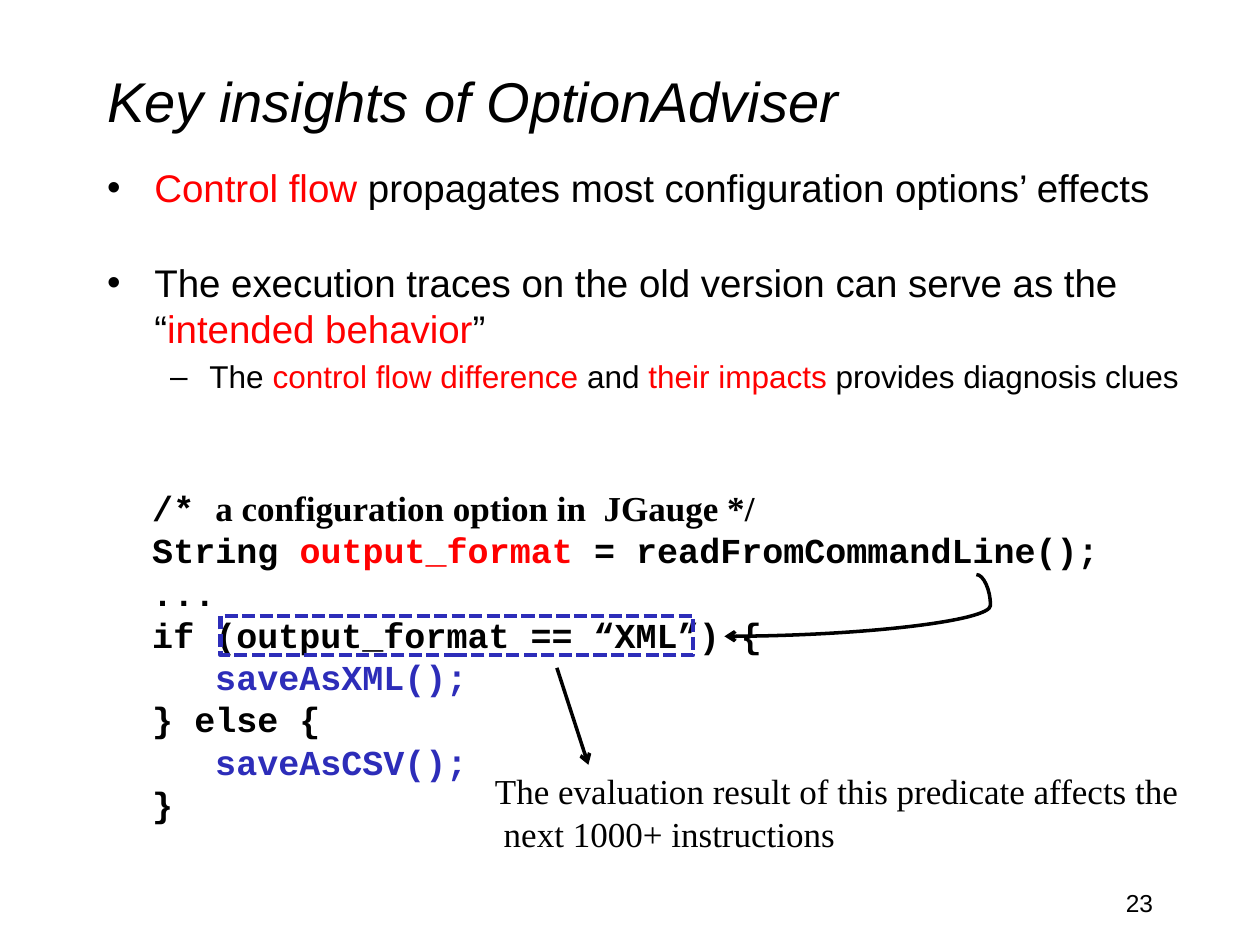
"""Build a slide on the key insights of a configuration diagnosis tool."""
from dataclasses import dataclass
from typing import NamedTuple

import lxml.etree
import pptx
import pptx.dml.color
import pptx.enum.dml
import pptx.enum.shapes
import pptx.enum.text
import pptx.oxml
import pptx.oxml.ns
import pptx.util

Inches = pptx.util.Inches
Pt = pptx.util.Pt
RGBColor = pptx.dml.color.RGBColor
Align = pptx.enum.text.PP_ALIGN
Connector = pptx.enum.shapes.MSO_CONNECTOR
qn = pptx.oxml.ns.qn

BLACK = RGBColor(0, 0, 0)
RED = RGBColor(255, 0, 0)
BLUE = RGBColor(0x2D, 0x2D, 0xB9)

TITLE_FONT = {"name": "Arial", "size": Pt(32), "italic": True}
BULLET_FONT = {"name": "Arial", "size": Pt(22)}
DETAIL_FONT = {"name": "Arial", "size": Pt(18)}
CODE_FONT = {"name": "Courier New", "size": Pt(20), "bold": True}
COMMENT_FONT = {"name": "Times New Roman", "size": Pt(20), "bold": True}
NOTE_FONT = {"name": "Times New Roman", "size": Pt(20)}
NUMBER_FONT = {"name": "Arial", "size": Pt(14)}

BULLET_FORMAT = {"space_before": Pt(4.4)}
SPACED_BULLET_FORMAT = {"space_before": Pt(27.8)}
DETAIL_FORMAT = {"level": 1, "space_before": Pt(3.6)}
CODE_FORMAT = {"line_spacing": Pt(24.15)}
NUMBER_FORMAT = {"alignment": Align.RIGHT}


class Span(NamedTuple):
    """A stretch of text in one format."""
    text: str
    font: dict
    color: RGBColor = BLACK


@dataclass
class Line:
    """A paragraph with its spans and format."""
    spans: list[Span]
    format: dict
    indent: float = 0


@dataclass
class Arrow:
    """An arrow between two points, with an optional curve adjustment."""
    start: tuple[float, float]
    end: tuple[float, float]
    kind: int = Connector.STRAIGHT
    bend: int | None = None


BULLETS = [
    Line([Span("Control flow ", BULLET_FONT, RED),
          Span("propagates most configuration options’ effects", BULLET_FONT)], BULLET_FORMAT),
    Line([Span("The execution traces on the old version can serve as the “", BULLET_FONT),
          Span("intended behavior", BULLET_FONT, RED),
          Span("”", BULLET_FONT)], SPACED_BULLET_FORMAT),
    Line([Span("The ", DETAIL_FONT),
          Span("control flow difference ", DETAIL_FONT, RED),
          Span("and", DETAIL_FONT),
          Span(" their impacts ", DETAIL_FONT, RED),
          Span("provides diagnosis clues", DETAIL_FONT)], DETAIL_FORMAT),
]
CODE = [
    Line([Span("/* ", CODE_FONT),
          Span("a configuration option in  JGauge */", COMMENT_FONT)], CODE_FORMAT),
    Line([Span("String ", CODE_FONT),
          Span("output_format ", CODE_FONT, RED),
          Span("= readFromCommandLine();", CODE_FONT)], CODE_FORMAT),
    Line([Span("...", CODE_FONT)], CODE_FORMAT),
    Line([Span("if (output_format == “XML”) {", CODE_FONT)], CODE_FORMAT),
    Line([Span("saveAsXML();", CODE_FONT, BLUE)], CODE_FORMAT, 0.5),
    Line([Span("} else {", CODE_FONT)], CODE_FORMAT),
    Line([Span("saveAsCSV();", CODE_FONT, BLUE)], CODE_FORMAT, 0.5),
    Line([Span("}", CODE_FONT)], CODE_FORMAT),
]
NOTE = [Line([Span(text, NOTE_FONT)], CODE_FORMAT)
        for text in ("The evaluation result of this predicate affects the",
                     " next 1000+ instructions")]
ARROWS = [
    Arrow((7.75, 4.56), (5.75, 5.05), Connector.CURVE, -5600),
    Arrow((4.42, 5.3), (4.67, 6.07)),
]


def apply_format(target: object, values: dict) -> None:
    """Set each attribute named in the dict."""
    for name, value in values.items():
        setattr(target, name, value)


def write_lines(shape, lines: list[Line], bulleted: bool = False) -> None:
    """Fill a shape with formatted paragraphs."""
    frame = shape.text_frame
    apply_format(frame, {"word_wrap": True, "auto_size": pptx.enum.text.MSO_AUTO_SIZE.NONE})
    for index, line in enumerate(lines):
        paragraph = frame.add_paragraph() if index else frame.paragraphs[0]
        apply_format(paragraph, line.format)
        for span in line.spans:
            run = paragraph.add_run()
            run.text = span.text
            apply_format(run.font, span.font)
            run.font.color.rgb = span.color
        properties = paragraph._p.get_or_add_pPr()
        if line.indent:
            properties.set("marL", str(Inches(line.indent)))
        if bulleted:
            color = lxml.etree.SubElement(properties, qn("a:buClr"))
            lxml.etree.SubElement(color, qn("a:srgbClr"), val=str(BLACK))


def place(shape, left: float, top: float, width: float, height: float) -> None:
    """Move and size a shape in inches."""
    apply_format(shape, {"left": Inches(left), "top": Inches(top),
                         "width": Inches(width), "height": Inches(height)})


def add_text(slide, box: tuple[float, ...], lines: list[Line]) -> None:
    """Add a text box with paragraphs."""
    write_lines(slide.shapes.add_textbox(*map(Inches, box)), lines)


def add_arrow(slide, arrow: Arrow) -> None:
    """Add a connector with an arrowhead at its end."""
    shape = slide.shapes.add_connector(arrow.kind, *map(Inches, arrow.start + arrow.end))
    shape.line.color.rgb = BLACK
    shape.line.width = Pt(2)
    properties = shape.element.spPr
    lxml.etree.SubElement(properties.find(qn("a:ln")), qn("a:tailEnd"), type="arrow")
    lxml.etree.SubElement(properties, qn("a:effectLst"))
    if arrow.bend is not None:
        geometry = properties.find(qn("a:prstGeom"))
        adjustments = geometry.find(qn("a:avLst"))
        if adjustments is None:
            adjustments = lxml.etree.SubElement(geometry, qn("a:avLst"))
        lxml.etree.SubElement(adjustments, qn("a:gd"), name="adj1", fmla=f"val {arrow.bend}")


def add_predicate_frame(slide) -> None:
    """Outline the predicate in the code."""
    frame = slide.shapes.add_shape(pptx.enum.shapes.MSO_SHAPE.RECTANGLE,
                                   *map(Inches, (1.75, 4.89, 3.75, 0.31)))
    frame.shadow.inherit = False
    frame.fill.background()
    frame.line.color.rgb = BLUE
    apply_format(frame.line, {"width": Pt(2.5),
                              "dash_style": pptx.enum.dml.MSO_LINE.SQUARE_DOT})
    frame.line._ln.find(qn("a:prstDash")).set("val", "sysDash")


def main() -> None:
    """Build and save the presentation."""
    presentation = pptx.Presentation()
    apply_format(presentation, {"slide_width": Inches(10), "slide_height": Inches(7.5)})
    slide = presentation.slides.add_slide(presentation.slide_layouts[1])
    title, body = slide.shapes.title, slide.placeholders[1]
    place(title, 0.75, 0.17, 8.5, 1.25)
    write_lines(title, [Line([Span("Key insights of OptionAdviser", TITLE_FONT)],
                             {"alignment": Align.LEFT})])
    title.text_frame.vertical_anchor = pptx.enum.text.MSO_ANCHOR.MIDDLE
    place(body, 0.75, 1.25, 9.25, 4.92)
    write_lines(body, BULLETS, bulleted=True)
    add_text(slide, (1.11, 3.81, 8.39, 2.79), CODE)
    add_predicate_frame(slide)
    add_text(slide, (3.83, 6.06, 5.75, 0.77), NOTE)
    for arrow in ARROWS:
        add_arrow(slide, arrow)
    add_text(slide, (7.17, 7, 2.08, 0.5), [Line([Span("23", NUMBER_FONT)], NUMBER_FORMAT)])
    presentation.save("out.pptx")


if __name__ == "__main__":
    main()
